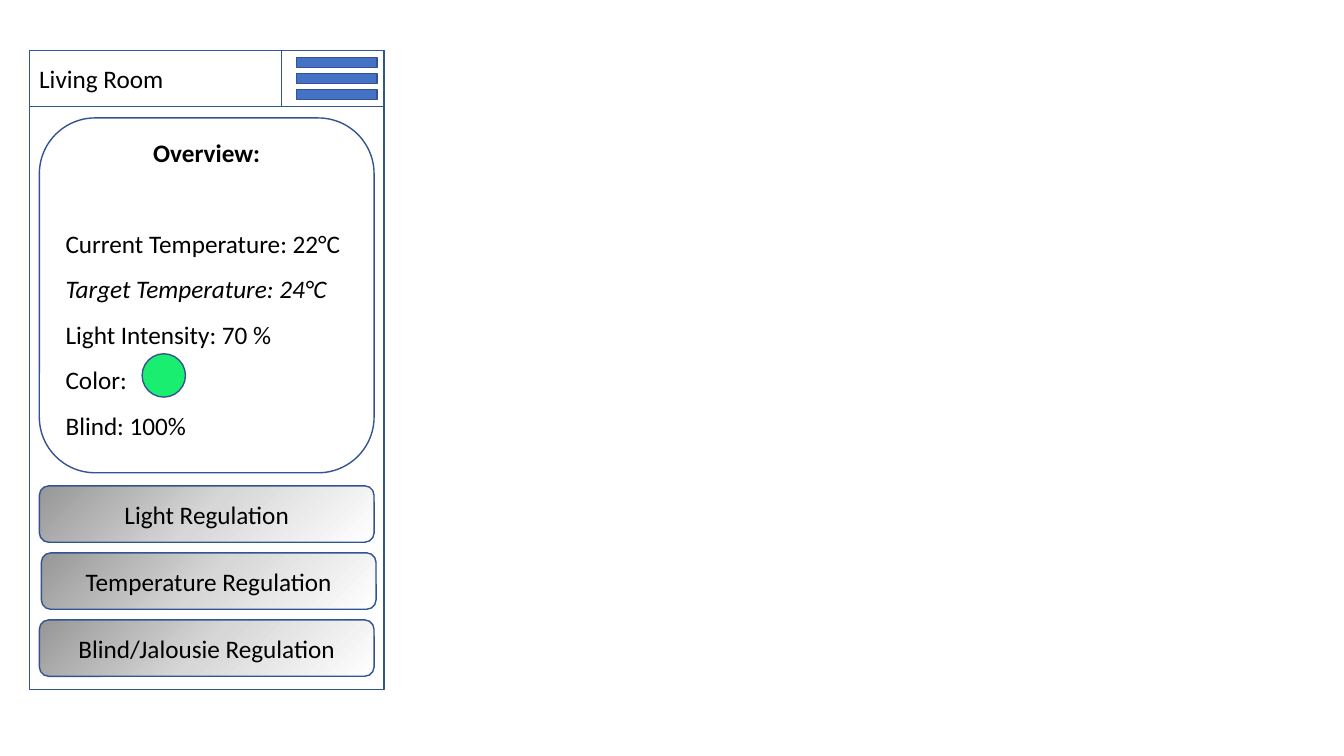
from copy import deepcopy
from pptx import Presentation
from pptx.dml.color import RGBColor
from pptx.enum.shapes import MSO_SHAPE as Kind
from pptx.enum.text import MSO_ANCHOR as Anchor, PP_ALIGN as Align
from pptx.oxml.ns import qn
from pptx.util import Inches, Pt

HUES = {"line": "325491", "bar": "4472C4", "white": "FFFFFF", "text": "000000",
        "lamp": "1AEE70", "dark": "979797", "mid": "D7D7D7"}
FACTS = ["Current Temperature: 22°C", "Target Temperature: 24°C",
         "Light Intensity: 70 %", "Color:", "Blind: 100%"]
TASKS = [("Light Regulation", 0), ("Temperature Regulation", 0.02),
         ("Blind/Jalousie Regulation", 0)]


def hue(name):
    """Return the named colour."""
    return RGBColor.from_string(HUES[name])


def block(slide, kind, x, y, w, h, fill=None):
    """Add an outlined shape, filled if a colour is named."""
    shape = slide.shapes.add_shape(kind, Inches(x), Inches(y), Inches(w), Inches(h))
    shape.shadow.inherit = False
    shape.line.color.rgb = hue("line")
    shape.line.width = Pt(1)
    if fill:
        shape.fill.solid()
        shape.fill.fore_color.rgb = hue(fill)
    else:
        shape.fill.background()
    return shape


def write(shape, lines, align):
    """Put lines into a shape and return its paragraphs."""
    frame = shape.text_frame
    frame.text = "\n".join(lines)
    frame.word_wrap = True
    frame.vertical_anchor = Anchor.MIDDLE
    for para in frame.paragraphs:
        para.alignment = align
        font = para.runs[0].font
        font.name, font.size = "Calibri", Pt(18)
        font.color.rgb = hue("text")
    return frame.paragraphs


def shade(shape):
    """Fill a shape with the diagonal three-stop gradient."""
    fill = shape.fill
    fill.gradient()
    fill.gradient_angle = 315
    stops = shape._element.spPr.find(qn("a:gradFill")).find(qn("a:gsLst"))
    stops.append(deepcopy(stops[-1]))
    for stop, name, place in zip(fill.gradient_stops, ("dark", "mid", "white"), (0, 0.5, 1)):
        stop.color.rgb = hue(name)
        stop.position = place


def header(slide, x, y, w, h):
    """Draw the room name and the menu icon."""
    room = block(slide, Kind.RECTANGLE, x, y, w, h, "white")
    write(room, ["Living Room"], Align.LEFT)
    side = 1.02
    left = x + w - side
    block(slide, Kind.RECTANGLE, left, y, side, h, "white")
    for i in range(3):
        block(slide, Kind.RECTANGLE, left + 0.15, y + 0.07 + i * 0.16, 0.8, 0.1, "bar")


def tasks(slide, x, y, w, h):
    """Stack the regulation buttons."""
    for i, (label, shift) in enumerate(TASKS):
        button = block(slide, Kind.ROUNDED_RECTANGLE, x + shift, y + i * 0.665, w, h)
        shade(button)
        write(button, [label], Align.CENTER)


def status(slide, x, y, w, h):
    """Draw the overview panel with its colour lamp."""
    panel = block(slide, Kind.ROUNDED_RECTANGLE, x, y, w, h, "white")
    paras = write(panel, ["Overview:"] + FACTS, Align.LEFT)
    panel.text_frame.margin_top = 0
    panel.text_frame.margin_bottom = Inches(0.28)
    for para in paras:
        para.line_spacing = 1.5
    paras[0].alignment = Align.CENTER
    paras[0].runs[0].font.bold = True
    paras[1].space_before = Pt(32.5)
    paras[2].runs[0].font.italic = True
    block(slide, Kind.OVAL, x + 1.02, y + 2.34, 0.43, 0.43, "lamp")


def phone(slide, x, y, w, h):
    """Draw the whole room screen."""
    block(slide, Kind.RECTANGLE, x, y, w, h)
    header(slide, x, y, w, 0.56)
    tasks(slide, x + 0.1, y + 4.32, w - 0.2, 0.56)
    status(slide, x + 0.1, y + 0.67, w - 0.2, 3.52)


def main():
    """Build and save the slide."""
    deck = Presentation()
    deck.slide_width, deck.slide_height = Inches(13.33), Inches(7.5)
    slide = deck.slides.add_slide(deck.slide_layouts[6])
    phone(slide, 0.29, 0.5, 3.52, 6.34)
    deck.save("out.pptx")


if __name__ == "__main__":
    main()
